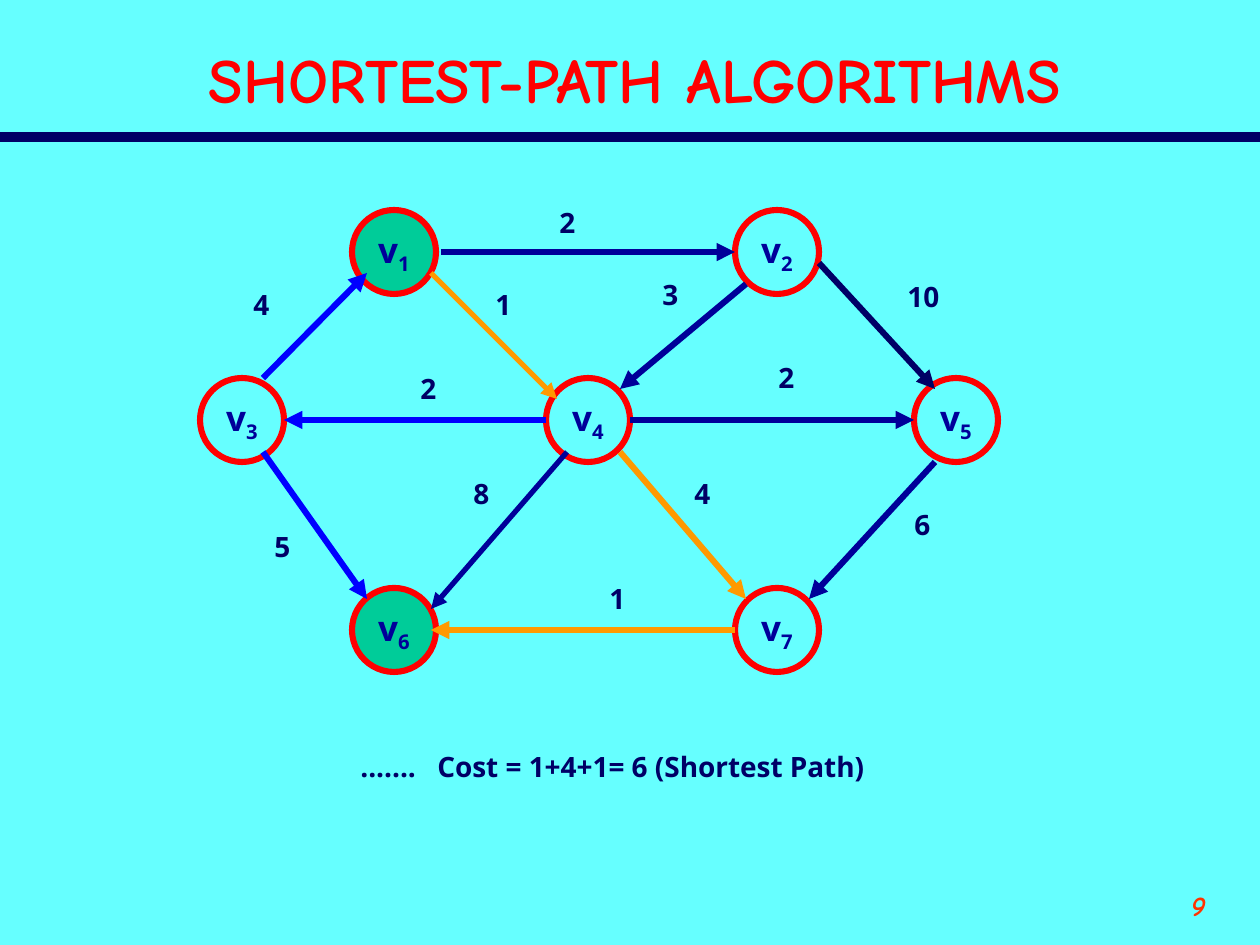
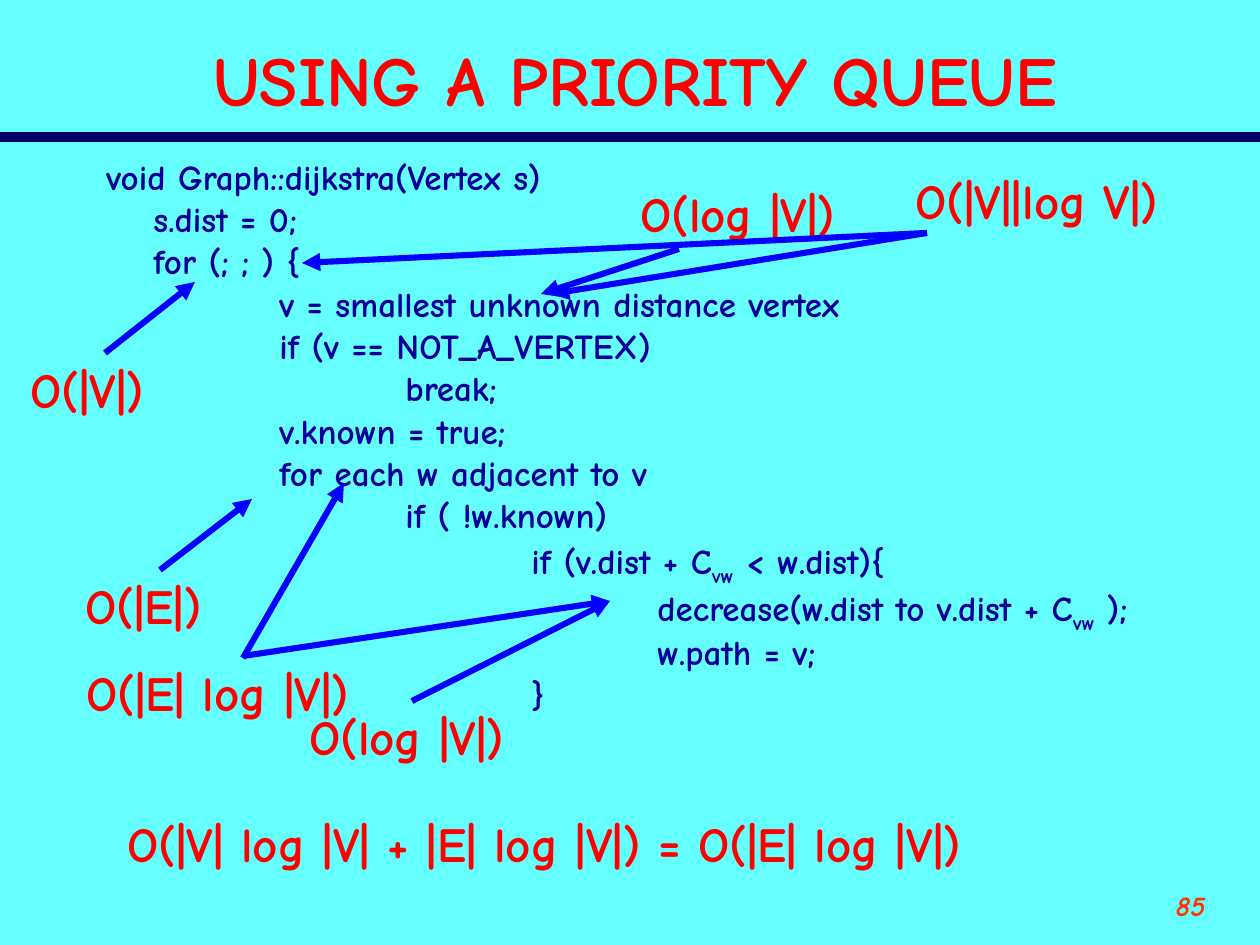
from lxml.etree import SubElement as Sub
from pptx import Presentation
from pptx.dml.color import RGBColor as RGB
from pptx.enum.shapes import MSO_CONNECTOR as LINK, MSO_SHAPE as SHAPE
from pptx.enum.text import MSO_ANCHOR as ANCHOR, PP_ALIGN as ALIGN
from pptx.oxml.ns import qn
from pptx.util import Pt

PX = 914400 / 126
HUES = {
    "sky": "66FFFF", "navy": "000066", "ink": "000099", "blue": "0000FF",
    "red": "FF0000", "page": "FF3300", "gold": "FF9900", "green": "00CC99",
}
HUES = {name: RGB.from_string(code) for name, code in HUES.items()}
COMIC, SANS = "Comic Neue", "Noto Sans"


def write(slide, text, box, size=28, font=COMIC, hue="red", align=ALIGN.LEFT,
          mid=False, wrap=True, slant=False, shape=None, margins=(0,),
          tab=126, lead=None, gap=0):
    """Put text in the shape, or in a new text box; ~ switches subscript on and off.

    A row that starts with n tabs gets the left margin margins[n].
    """
    shape = shape or slide.shapes.add_textbox(*(round(n * PX) for n in box))
    frame = shape.text_frame
    frame.word_wrap = wrap
    frame.vertical_anchor = ANCHOR.MIDDLE if mid else ANCHOR.TOP
    for i, row in enumerate(text.split("\n")):
        para = frame.add_paragraph() if i else frame.paragraphs[0]
        para.alignment = align
        if lead:
            para.line_spacing = lead
        if i:
            para.space_before = Pt(gap)
        words = row.lstrip("\t")
        props = para._p.get_or_add_pPr()
        props.set("marL", str(round(margins[len(row) - len(words)] * PX)))
        props.set("indent", "0")
        props.set("defTabSz", str(round(tab * PX)))
        for k, part in enumerate(words.split("~")):
            run = para.add_run()
            run.text = part
            run.font.size, run.font.name = Pt(size), font
            run.font.bold, run.font.italic = True, slant
            run.font.color.rgb = HUES[hue]
            if k % 2:
                run._r.get_or_add_rPr().set("baseline", "-25000")


def draw(slide, ends, hue="blue", width=3.5, head=True):
    """Draw a straight line, with an arrowhead at its end if head is set."""
    line = slide.shapes.add_connector(LINK.STRAIGHT, *(round(n * PX) for n in ends))
    line.line.color.rgb = HUES[hue]
    line.line.width = Pt(width)
    if head:
        Sub(line.line._get_or_add_ln(), qn("a:tailEnd"), type="triangle")
    Sub(line._element.spPr, qn("a:effectLst"))


deck = Presentation()
deck.slide_width, deck.slide_height = round(1260 * PX), round(945 * PX)

# Shared parts of both slides
slides = []
for title, size, page in [("SHORTEST-PATH ALGORITHMS", 36, "9"),
                          ("USING A PRIORITY QUEUE", 40, "85")]:
    slide = deck.slides.add_slide(deck.slide_layouts[6])
    slide.background.fill.solid()
    slide.background.fill.fore_color.rgb = HUES["sky"]
    draw(slide, (0, 137, 1260, 137), "navy", 6, head=False)
    write(slide, page, (1092, 882, 126, 63), size=16, hue="page",
          align=ALIGN.RIGHT, slant=True)
    write(slide, title, (52, 31, 1166, 94), size=size, align=ALIGN.CENTER, mid=True)
    slides.append(slide)
graph, queue = slides

# Graph: vertices, then edges with their weights
SIDE = 84
nodes = [
    ("3", 200, 378), ("1", 352, 210), ("6", 352, 588), ("4", 546, 378),
    ("2", 735, 210), ("7", 735, 588), ("5", 914, 378),
]
for name, x, y in nodes:
    node = graph.shapes.add_shape(SHAPE.OVAL, *(round(n * PX) for n in (x, y, SIDE, SIDE)))
    node.shadow.inherit = False
    node.line.color.rgb = HUES["red"]
    node.line.width = Pt(3.5)
    if name in "16":
        node.fill.solid()
        node.fill.fore_color.rgb = HUES["green"]
    else:
        node.fill.background()
    write(graph, "v~" + name, None, size=20, font=SANS, hue="ink",
          align=ALIGN.CENTER, mid=True, wrap=False, shape=node)

edges = [
    ((263, 378, 367, 273), "blue", 3.5, "4", 241, 281),
    ((263, 452, 367, 599), "blue", 3.5, "5", 262, 523),
    ((546, 420, 284, 420), "blue", 3.5, "2", 408, 365),
    ((441, 252, 735, 252), "ink", 3.5, "2", 547, 199),
    ((431, 273, 557, 399), "gold", 3, "1", 483, 281),
    ((746, 284, 620, 389), "ink", 3.5, "3", 650, 271),
    ((630, 420, 914, 420), "ink", 3.5, "2", 766, 354),
    ((819, 263, 935, 389), "navy", 3.5, "10", 895, 273),
    ((567, 452, 431, 609), "ink", 3, "8", 461, 470),
    ((620, 452, 746, 599), "gold", 3.5, "4", 682, 470),
    ((735, 630, 431, 630), "gold", 3.5, "1", 597, 575),
    ((935, 462, 809, 599), "ink", 3.5, "6", 902, 501),
]
for ends, hue, width, cost, x, y in edges:
    draw(graph, ends, hue, width)
    write(graph, cost, (x, y, 28 + 17 * len(cost), 47), size=16, font=SANS, hue="navy")
write(graph, ".......\tCost = 1+4+1= 6 (Shortest Path)", (348, 743, 540, 47),
      size=16, font=SANS, hue="navy", tab=77)

# Priority queue: code, then the cost of its steps
code = """void Graph::dijkstra(Vertex s)
\ts.dist = 0;
\tfor (; ; ) {
\t\tv = smallest unknown distance vertex
\t\tif (v == NOT_A_VERTEX)
\t\t\tbreak;
\t\tv.known = true;
\t\tfor each w adjacent to v
\t\t\tif ( !w.known)
\t\t\t\tif (v.dist + C~vw~ < w.dist){
\t\t\t\t\tdecrease(w.dist to v.dist + C~vw~ );
\t\t\t\t\tw.path = v;
\t\t\t\t}"""
write(queue, code, (94, 157, 1113, 683), size=20, hue="ink",
      margins=[0, *range(47, 600, 126)], lead=0.8, gap=5)
write(queue, "O(|V| log |V| + |E| log |V|) = O(|E| log |V|)", (52, 807, 1166, 102),
      margins=[63])

costs = [
    ("O(|V|)", 18, 353, 139, [(105, 353, 195, 282)]),
    ("O(log |V|)", 628, 177, 221, [(679, 249, 541, 294)]),
    ("O(|E|)", 73, 569, 141, [(160, 570, 252, 499)]),
    ("O(|V||log V|)", 903, 164, 267, [(927, 233, 302, 263), (927, 233, 551, 294)]),
    ("O(log |V|)", 297, 700, 221, [(412, 701, 610, 601)]),
    ("O(|E| log |V|)", 74, 656, 287, [(243, 658, 344, 483), (243, 656, 610, 601)]),
]
for text, x, y, width, arrows in costs:
    write(queue, text, (x, y, width + 20, 72))
    for ends in arrows:
        draw(queue, ends)

deck.save("out.pptx")
